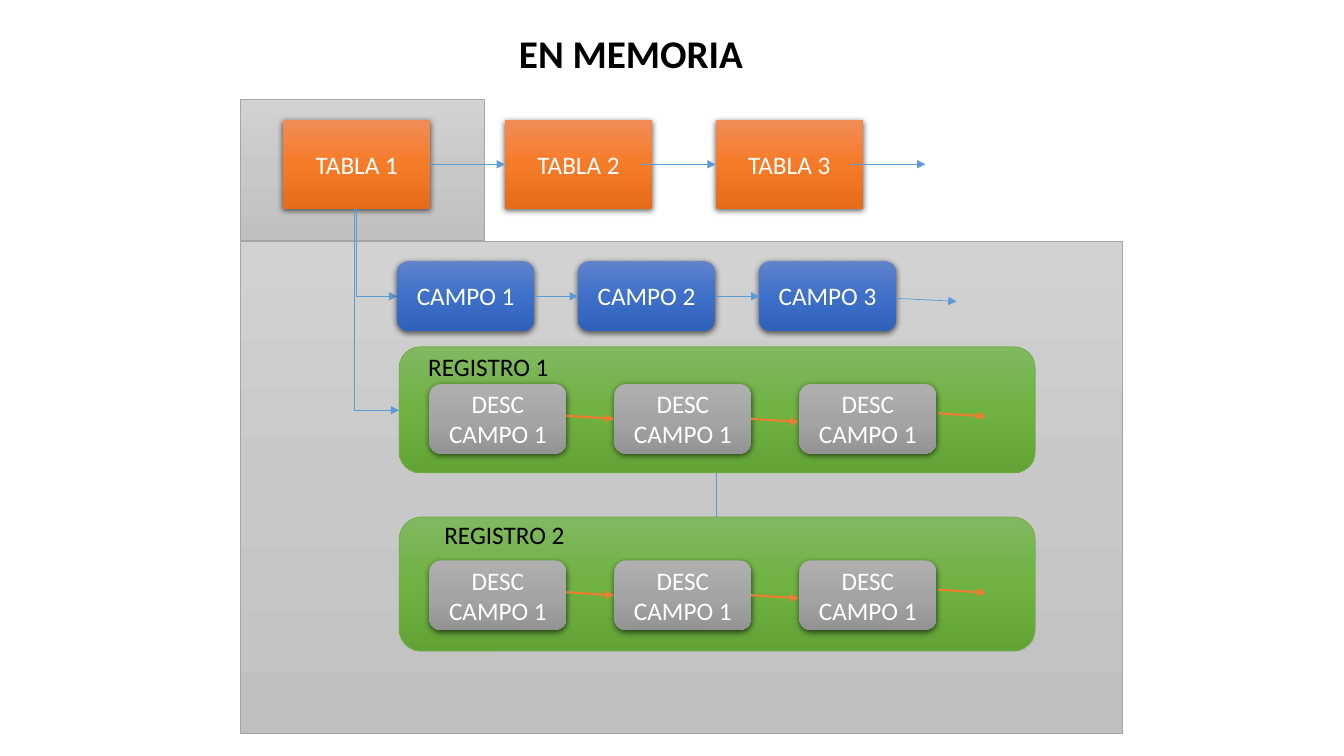
from copy import deepcopy

from lxml.etree import SubElement
from pptx import Presentation
from pptx.dml.color import RGBColor
from pptx.enum.shapes import MSO_CONNECTOR, MSO_SHAPE
from pptx.enum.text import MSO_ANCHOR, PP_ALIGN
from pptx.oxml.ns import qn
from pptx.util import Inches, Pt

# Theme: gradient stops, outlines, type
THEME = {
    "panel": {"stops": ("D2D2D2", "C8C8C8", "C0C0C0"), "outline": "A5A5A5"},
    "table": {"stops": ("F18C57", "F67B28", "E56C19"), "outline": None},
    "field": {"stops": ("6183CB", "3E70CA", "3062BB"), "outline": None},
    "record": {"stops": ("81B861", "6FB242", "62A336"), "outline": "70AD47"},
    "value": {"stops": ("AFAFAF", "A5A5A5", "939393"), "outline": None},
    "link": {"color": "5B9BD5", "width": 0.5},
    "value_link": {"color": "ED7D31", "width": 1.5},
    "font": "Calibri",
    "light": RGBColor.from_string("FFFFFF"),
    "dark": RGBColor.from_string("000000"),
    "body_size": Pt(18),
    "title_size": Pt(28),
}
SHADOW = {"blurRad": "57150", "dist": "19050", "dir": "5400000",
          "algn": "ctr", "rotWithShape": "0"}

# Grid: square cells, 133.33 columns by 75 rows
CELL = Inches(0.1)
COLUMNS, ROWS = 133.33, 75

presentation = Presentation()
presentation.slide_width = round(COLUMNS * CELL)
presentation.slide_height = ROWS * CELL
slide = presentation.slides.add_slide(presentation.slide_layouts[6])


def add_box(kind, area, style, text=""):
    """Add a gradient box; boxes without an outline cast a shadow."""
    shape = slide.shapes.add_shape(kind, *(round(n * CELL) for n in area))
    look = THEME[style]
    shape.fill.gradient()
    stop_list = shape._element.spPr.find(".//" + qn("a:gsLst"))
    stop_list.insert(1, deepcopy(stop_list[0]))
    for index, stop in enumerate(shape.fill.gradient_stops):
        stop.position = index / 2
        stop.color.rgb = RGBColor.from_string(look["stops"][index])
    shape.fill.gradient_angle = 270
    shape.shadow.inherit = False
    if look["outline"]:
        shape.line.color.rgb = RGBColor.from_string(look["outline"])
        shape.line.width = Pt(0.5)
    else:
        shape.line.fill.background()
        effects = shape._element.spPr.find(qn("a:effectLst"))
        shadow = SubElement(effects, qn("a:outerShdw"), SHADOW)
        color = SubElement(shadow, qn("a:srgbClr"), {"val": "000000"})
        SubElement(color, qn("a:alpha"), {"val": "63000"})
    if text:
        shape.text_frame.text = text
        shape.text_frame.vertical_anchor = MSO_ANCHOR.MIDDLE
        paragraph = shape.text_frame.paragraphs[0]
        paragraph.alignment = PP_ALIGN.CENTER
        font = paragraph.runs[0].font
        font.color.rgb = THEME["light"]
        for name, value in {"name": THEME["font"], "size": THEME["body_size"]}.items():
            setattr(font, name, value)


def add_arrow(x1, y1, x2, y2, style="link", bent=False):
    """Add an arrow; a bent one runs down first, then right."""
    kind = MSO_CONNECTOR.STRAIGHT
    if bent:
        # The elbow is a quarter turn of a box with width and height swapped
        kind = MSO_CONNECTOR.ELBOW
        middle_x, middle_y = (x1 + x2) / 2, (y1 + y2) / 2
        half_width, half_height = (y2 - y1) / 2, (x2 - x1) / 2
        x1, x2 = middle_x - half_width, middle_x + half_width
        y1, y2 = middle_y - half_height, middle_y + half_height
    arrow = slide.shapes.add_connector(kind, *(round(n * CELL) for n in (x1, y1, x2, y2)))
    properties = arrow._element.spPr
    if bent:
        properties.find(qn("a:prstGeom")).set("prst", "bentConnector2")
        for name, value in {"rot": "16200000", "flipH": "1"}.items():
            properties.find(qn("a:xfrm")).set(name, value)
    arrow.line.color.rgb = RGBColor.from_string(THEME[style]["color"])
    arrow.line.width = Pt(THEME[style]["width"])
    SubElement(properties.find(qn("a:ln")), qn("a:tailEnd"), {"type": "triangle"})
    SubElement(properties, qn("a:effectLst"))


# Grey panels behind the first table and its contents
for area in ((23.8, 9.9, 24.3, 14), (23.8, 23.9, 87.6, 48.9)):
    add_box(MSO_SHAPE.RECTANGLE, area, "panel")

# Tables and their chain
for number, left in enumerate((28.1, 50.1, 71), 1):
    add_box(MSO_SHAPE.RECTANGLE, (left, 11.9, 14.6, 8.8), "table", f"TABLA {number}")
for start in (42.6, 63.5, 84.3):
    add_arrow(start, 16.3, start + 7.5, 16.3)

# Records, each with its chain of values
add_arrow(35.2, 20.7, 39.6, 40.7, bent=True)
for top, height, value_top in ((34.4, 12.5, 38.1), (51.3, 13.3, 55.6)):
    add_box(MSO_SHAPE.ROUNDED_RECTANGLE, (39.6, top, 63.1, height), "record")
    for column in range(3):
        add_box(MSO_SHAPE.ROUNDED_RECTANGLE,
                (42.6 + 18.35 * column, value_top, 13.6, 6.9), "value", "DESC CAMPO 1")
    for start, drop in ((56.2, 3.15), (74.5, 3.45), (93.1, 2.9)):
        add_arrow(start, value_top + drop, start + 4.7, value_top + drop + 0.3, "value_link")
    if top < 50:
        add_arrow(71.1, top + height, 71.1, 53.5)

# Fields and their chain
add_arrow(35.3, 20.7, 39.4, 29.4, bent=True)
for column in range(3):
    add_box(MSO_SHAPE.ROUNDED_RECTANGLE,
            (39.4 + 17.95 * column, 25.9, 13.6, 6.9), "field", f"CAMPO {column + 1}")
for start in (53, 71):
    add_arrow(start, 29.4, start + 4.35, 29.4)
add_arrow(88.9, 29.6, 94.9, 29.9)

# Record labels and title
for text, area, size, bold in (
    ("REGISTRO 1", (41.5, 34.4, 14.7, 4), "body_size", False),
    ("REGISTRO 2", (43.1, 51, 14.7, 4), "body_size", False),
    ("EN MEMORIA", (50.5, 2.4, 40.7, 5.7), "title_size", True),
):
    label = slide.shapes.add_textbox(*(round(n * CELL) for n in area))
    label.text_frame.word_wrap = True
    label.text_frame.text = text
    font = label.text_frame.paragraphs[0].runs[0].font
    font.color.rgb = THEME["dark"]
    for name, value in {"name": THEME["font"], "size": THEME[size], "bold": bold}.items():
        setattr(font, name, value)

presentation.save("out.pptx")
